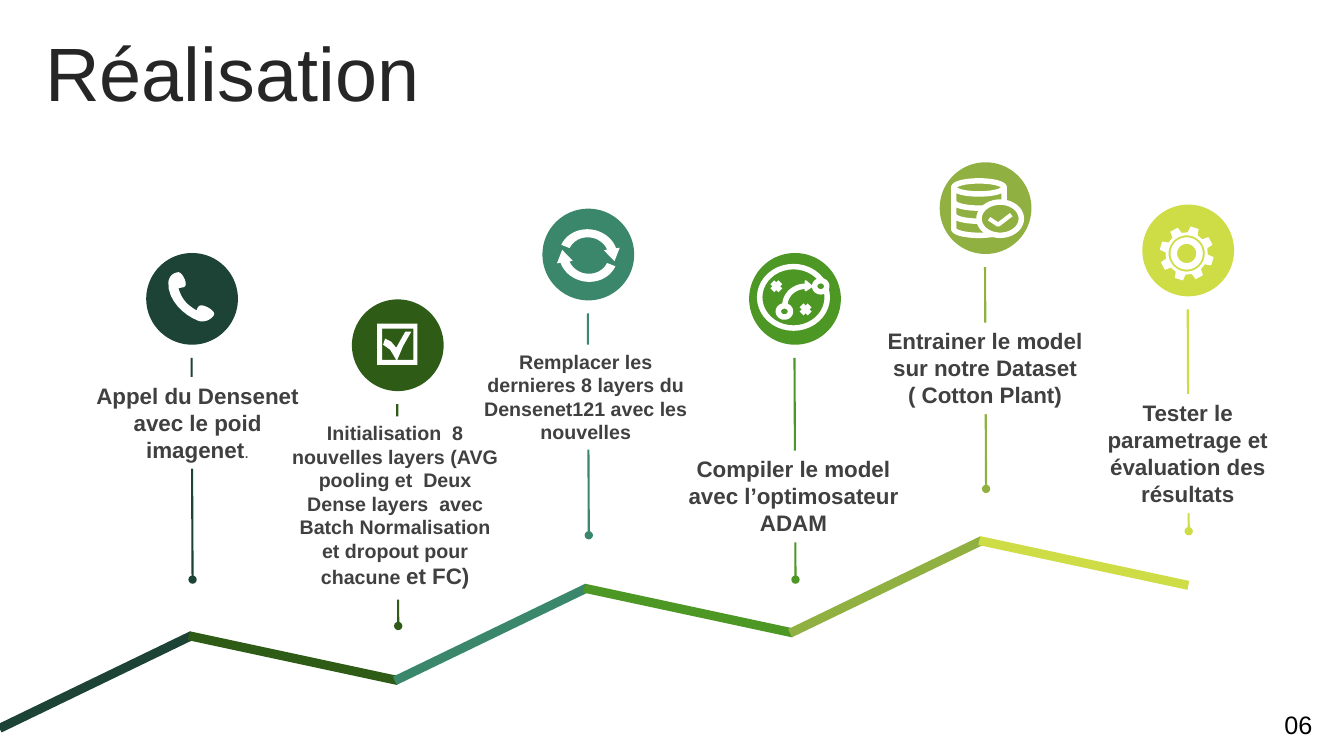
from math import cos, radians, sin

from lxml import etree
from pptx import Presentation
from pptx.dml.color import RGBColor
from pptx.enum.shapes import MSO_CONNECTOR, MSO_SHAPE
from pptx.enum.text import MSO_ANCHOR, MSO_AUTO_SIZE, PP_ALIGN
from pptx.oxml.ns import qn
from pptx.util import Inches, Pt

WHITE = RGBColor(0xFF, 0xFF, 0xFF)
BLACK = RGBColor(0x00, 0x00, 0x00)
TITLE = RGBColor(0x26, 0x26, 0x26)
TEXT = RGBColor(0x40, 0x40, 0x40)
PINE = RGBColor(0x1C, 0x43, 0x35)
FOREST = RGBColor(0x2E, 0x5B, 0x15)
TEAL = RGBColor(0x3A, 0x87, 0x6B)
GREEN = RGBColor(0x4D, 0x97, 0x24)
OLIVE = RGBColor(0x90, 0xB1, 0x41)
LIME = RGBColor(0xCE, 0xDD, 0x46)

# Colour, centre, disc top, label left, top, height, runs (text, size, bold)
STEPS = [
    (PINE, 1.9, 2.51, 0.81, 3.74, 0.91,
     [("Appel du Densenet avec le poid imagenet", 16, True), (".", 12, False)]),
    (FOREST, 3.94, 2.97, 2.77, 4.13, 1.82,
     [("Initialisation  8 nouvelles layers (AVG pooling et  Deux Dense layers  "
       "avec Batch Normalisation et dropout pour chacune ", 14, True),
      ("et FC)", 16, True)]),
    (TEAL, 5.83, 2.07, 4.66, 3.42, 1.04,
     [("Remplacer les dernieres 8 layers du Densenet121 avec les nouvelles", 14, True)]),
    (GREEN, 7.88, 2.51, 6.72, 4.47, 0.91,
     [("Compiler le model avec l’optimosateur ADAM", 16, True)]),
    (OLIVE, 9.77, 1.61, 8.62, 3.2, 0.91,
     [("Entrainer le model sur notre Dataset ( Cotton Plant)", 16, True)]),
    (LIME, 11.78, 2.03, 10.63, 3.91, 1.18,
     [("Tester le parametrage et évaluation des résultats", 16, True)]),
]

prs = Presentation()
prs.slide_width, prs.slide_height = Inches(13.33), Inches(7.5)
s = prs.slides.add_slide(prs.slide_layouts[6])


def arc(cx, cy, rx, ry, start=0, end=360):
    """Points along an elliptical arc, angles in degrees, clockwise from the right."""
    angles = [radians(start + (end - start) * i / 40) for i in range(41)]
    return [(cx + rx * cos(a), cy + ry * sin(a)) for a in angles]


def trace(contours, fill=None, stroke=None, close=True):
    """Draw contours, given in inches, as one freeform."""
    fb = None
    for contour in contours:
        pts = [(Inches(x), Inches(y)) for x, y in contour]
        if fb is None:
            fb = s.shapes.build_freeform(*pts[0])
        else:
            fb.move_to(*pts[0])
        fb.add_line_segments(pts[1:], close=close)
    sp = fb.convert_to_shape()
    sp.shadow.inherit = False
    if fill is None:
        sp.fill.background()
    else:
        sp.fill.solid()
        sp.fill.fore_color.rgb = fill
    if stroke is None:
        sp.line.fill.background()
    else:
        sp.line.color.rgb = WHITE
        sp.line.width = Pt(stroke)
    return sp


# Title and page number
for text, box, size, colour in [
    ("Réalisation", (0.35, 0.37, 12.66, 0.79), 54, TITLE),
    ("06", (12.64, 6.99, 0.59, 0.4), 18, BLACK),
]:
    tf = s.shapes.add_textbox(*map(Inches, box)).text_frame
    tf.word_wrap = True
    tf.vertical_anchor = MSO_ANCHOR.MIDDLE
    p = tf.paragraphs[0]
    p.text = text
    p.line_spacing = 0.9 if size == 54 else 1.0
    p.font.name, p.font.size, p.font.color.rgb = "Arial", Pt(size), colour

# Rising path, one bar per step
for i, step in enumerate(STEPS):
    bar = s.shapes.add_shape(MSO_SHAPE.RECTANGLE, Inches(-0.11 + 1.96 * i),
                             Inches(6.72 - 0.236 * i), Inches(2.12), Inches(0.09))
    bar.rotation = 12.1 if i % 2 else 334.2
    bar.shadow.inherit = False
    bar.fill.solid()
    bar.fill.fore_color.rgb = step[0]
    bar.line.fill.background()

# Disc, stem and label of each step
for colour, x, top, left, label_top, height, runs in STEPS:
    disc = s.shapes.add_shape(MSO_SHAPE.OVAL, Inches(x - 0.45), Inches(top),
                              Inches(0.91), Inches(0.91))
    stem = s.shapes.add_connector(MSO_CONNECTOR.STRAIGHT, Inches(x), Inches(top + 1.04),
                                  Inches(x + 0.01), Inches(top + 3.24))
    stem.line.color.rgb = colour
    stem.line.width = Pt(1.5)
    etree.SubElement(stem.line._get_or_add_ln(), qn("a:tailEnd"), type="oval")
    etree.SubElement(stem._element.spPr, qn("a:effectLst"))
    label = s.shapes.add_shape(MSO_SHAPE.RECTANGLE, Inches(left), Inches(label_top),
                               Inches(2.3), Inches(height))
    for sp, fill in ((disc, colour), (label, WHITE)):
        sp.shadow.inherit = False
        sp.fill.solid()
        sp.fill.fore_color.rgb = fill
        sp.line.fill.background()
    tf = label.text_frame
    tf.word_wrap = True
    tf.auto_size = MSO_AUTO_SIZE.SHAPE_TO_FIT_TEXT
    tf.vertical_anchor = MSO_ANCHOR.TOP
    p = tf.paragraphs[0]
    p.alignment = PP_ALIGN.CENTER
    p.font.name, p.font.color.rgb = "Arial", TEXT
    for text, size, bold in runs:
        r = p.add_run()
        r.text = text
        r.font.name, r.font.color.rgb = "Arial", TEXT
        r.font.size, r.font.bold = Pt(size), bold

# Phone: three control points per cubic curve
start = (1.77, 2.7)
controls = [(1.81, 2.7), (1.88, 2.84), (1.82, 2.85), (1.82, 2.85), (1.77, 2.86), (1.77, 2.86),
            (1.81, 2.99), (1.87, 3.03), (1.95, 3.08), (1.96, 3.05), (1.97, 3.03), (2, 3.03),
            (2.04, 3.03), (2.15, 3.09), (2.12, 3.13), (2.08, 3.19), (2, 3.2), (1.96, 3.18),
            (1.83, 3.13), (1.66, 2.98), (1.67, 2.8), (1.68, 2.74), (1.71, 2.71), start]
phone = [start]
for i in range(0, len(controls), 3):
    curve = [phone[-1], *controls[i:i + 3]]
    for t in (0.125 * k for k in range(1, 9)):
        weights = ((1 - t) ** 3, 3 * t * (1 - t) ** 2, 3 * t * t * (1 - t), t ** 3)
        phone.append(tuple(sum(w * pt[axis] for w, pt in zip(weights, curve))
                           for axis in (0, 1)))
trace([phone], WHITE)

# Checkbox
trace([[(3.74, 3.21), (4.14, 3.21), (4.14, 3.62), (3.74, 3.62)],
       [(3.79, 3.26), (4.1, 3.26), (4.1, 3.57), (3.79, 3.57)],
       [(3.8, 3.42), (3.82, 3.36), (3.88, 3.39), (3.93, 3.45), (4.02, 3.29), (4.08, 3.29),
        (4, 3.43), (3.94, 3.57), (3.93, 3.57), (3.87, 3.47)]], WHITE)

# Cycle: the second arrow is the first turned half round
cx, cy = 5.835, 2.535
arrow = [*arc(cx, cy, 0.29, 0.26, 14, 154), (5.54, 2.66), (5.57, 2.52), (5.69, 2.61),
         *arc(cx, cy, 0.2, 0.18, 151, 14)]
cycle = trace([arrow, [(2 * cx - x, 2 * cy - y) for x, y in arrow]], WHITE)
cycle.rotation = 9

# Game plan
trace([arc(7.87, 2.95, 0.335, 0.305)], stroke=3.9)
trace([arc(7.99, 3.03, 0.205, 0.19, 180, 270)], stroke=3.9, close=False)
trace([[(7.99, 2.79), (8.05, 2.84), (7.99, 2.88)]], WHITE, 1.5)
for x, y in ((8.14, 2.84), (7.78, 3.09)):
    trace([arc(x, y, 0.06, 0.055)], GREEN, 3.9)
for x, y in ((7.7, 2.84), (7.99, 3.07)):
    trace([[(x - 0.04, y - 0.04), (x + 0.04, y + 0.04)],
           [(x - 0.04, y + 0.04), (x + 0.04, y - 0.04)]], stroke=3.9, close=False)

# Database with a check badge
trace([arc(9.71, 1.86, 0.25, 0.065)], stroke=3.9)
trace([[(9.46, 1.86), *arc(9.71, 2.27, 0.25, 0.065, 180, 0), (9.96, 1.86)]],
      stroke=3.9, close=False)
for y in (2, 2.13):
    trace([arc(9.71, y, 0.25, 0.065, 180, 0)], stroke=3.9, close=False)
trace([arc(9.92, 2.17, 0.21, 0.165)], OLIVE, 3.9)
trace([[(9.81, 2.17), (9.9, 2.23), (10.03, 2.13)]], stroke=3, close=False)

# Gear with eight teeth and a ring
cx, cy = 11.77, 2.515
teeth = []
for tooth in range(8):
    for turn, radius in ((-14, 0.21), (-9, 0.27), (9, 0.27), (14, 0.21)):
        a = radians(17 + 45 * tooth + turn)
        teeth.append((cx + radius * cos(a), cy + radius * sin(a)))
trace([teeth, *(arc(cx, cy, radius, radius) for radius in (0.18, 0.16, 0.095))], WHITE)

prs.save("out.pptx")
